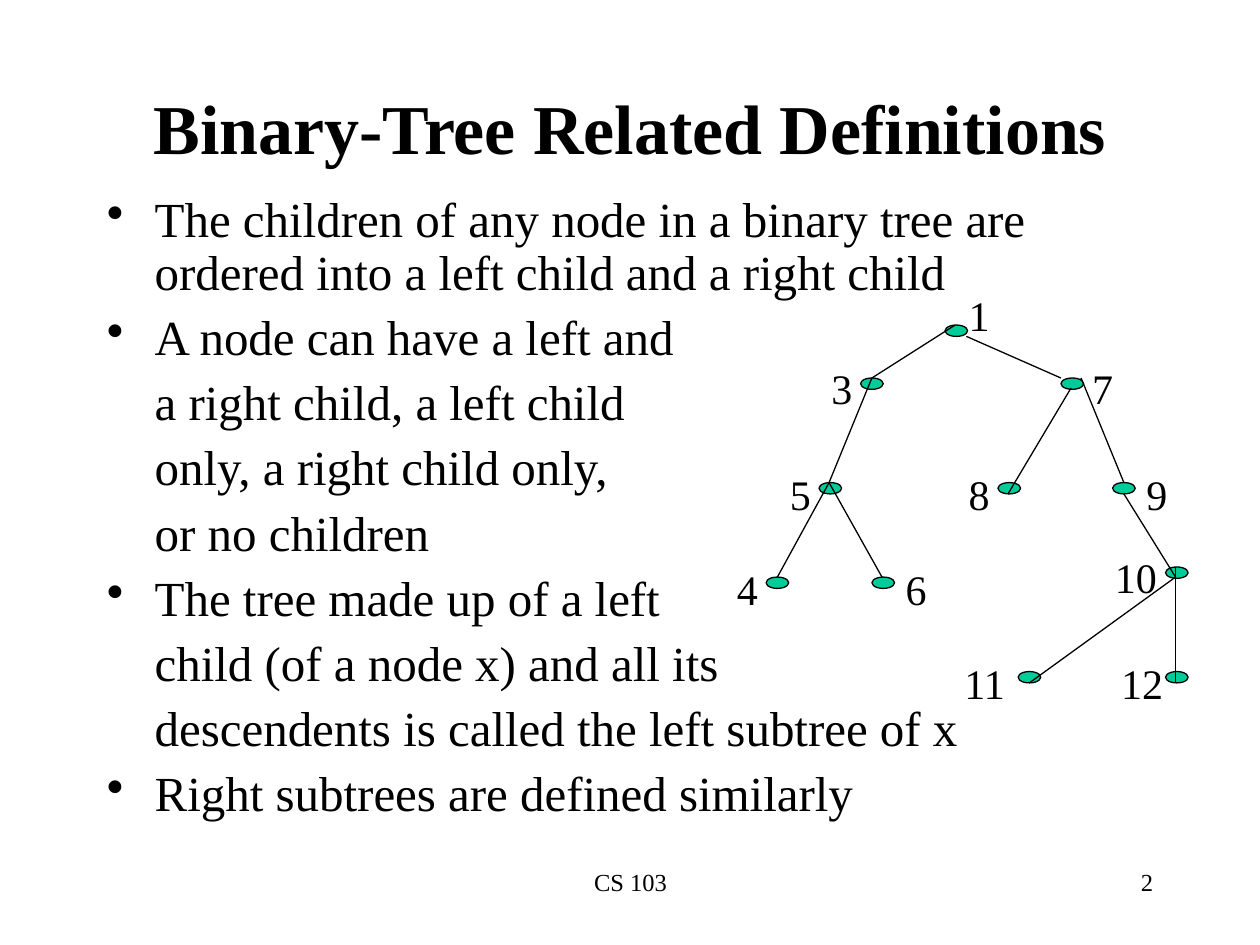
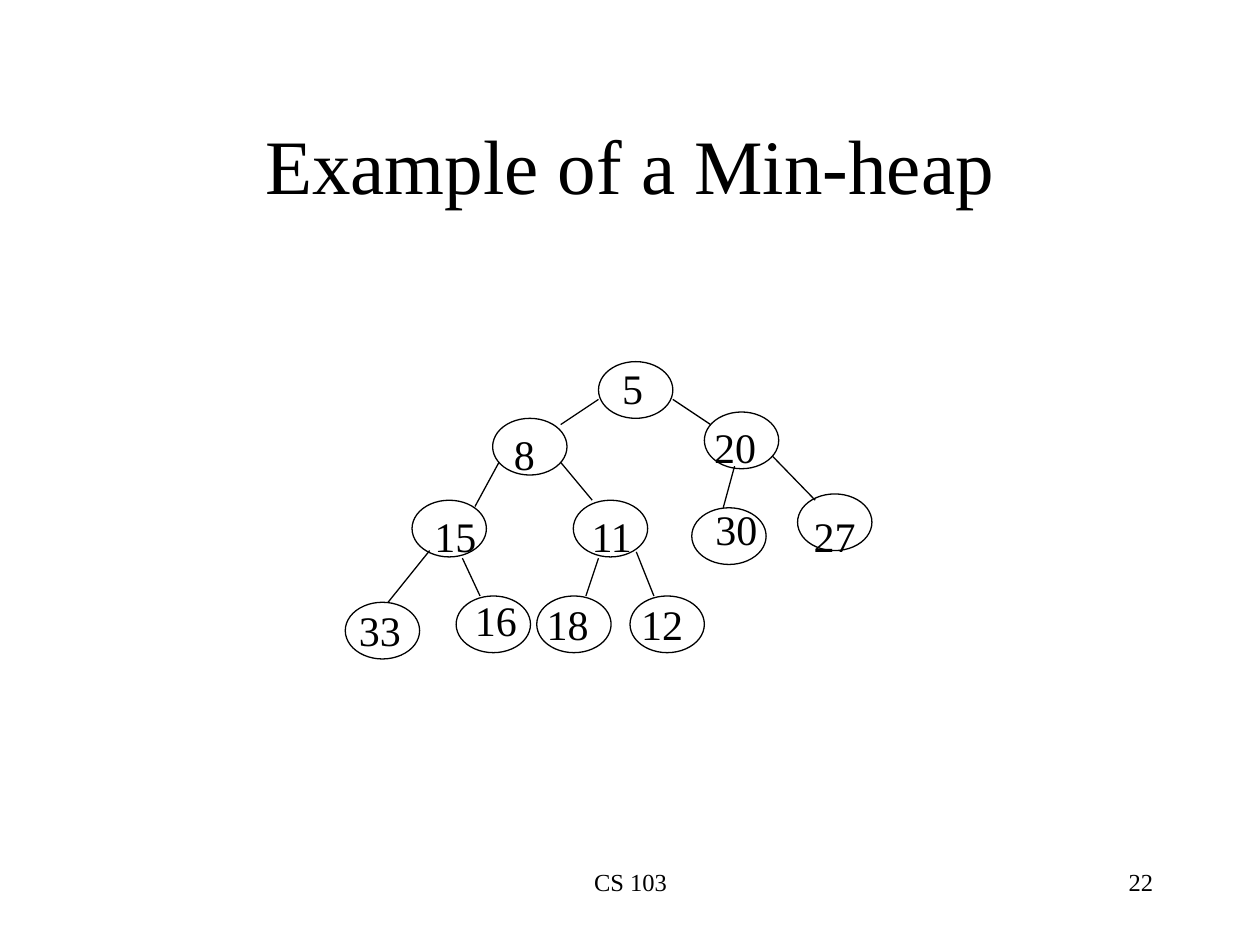
"""Build two lecture slides on binary trees and min-heaps."""
from dataclasses import dataclass
from typing import Optional

import lxml.etree
import pptx
import pptx.dml.color
import pptx.enum.shapes
import pptx.enum.text
import pptx.oxml.ns
import pptx.presentation
import pptx.shapes.base
import pptx.slide
import pptx.text.text
import pptx.util
from pptx.util import Inches

BLACK = pptx.dml.color.RGBColor(0x00, 0x00, 0x00)
WHITE = pptx.dml.color.RGBColor(0xFF, 0xFF, 0xFF)
GREEN = pptx.dml.color.RGBColor(0x00, 0xCC, 0x99)
FONT = "Times New Roman"
ALIGN = pptx.enum.text.PP_ALIGN
ANCHOR = pptx.enum.text.MSO_ANCHOR
LINE_WIDTH = pptx.util.Pt(0.75)
LABEL_WIDTHS = {1: 0.36, 2: 0.53}
LABEL_HEIGHT = 0.5
BODY_INDENT = 0.38


@dataclass(frozen=True)
class Node:
    """A tree node with the top left corners of its ellipse and its label."""

    value: int
    left: float
    top: float
    label_left: float
    label_top: float


@dataclass(frozen=True)
class Edge:
    """A line from a parent to a child."""

    start_x: float
    start_y: float
    end_x: float
    end_y: float


@dataclass(frozen=True)
class Tree:
    """Nodes of one size and fill, with their edges."""

    node_width: float
    node_height: float
    fill: Optional[pptx.dml.color.RGBColor]
    nodes: list[Node]
    edges: list[Edge]


@dataclass(frozen=True)
class Title:
    """A slide heading and its style."""

    text: str
    height: float
    size: int
    bold: bool


@dataclass(frozen=True)
class Definition:
    """A bulleted line with the unbulleted lines that continue it."""

    first_line: str
    continuations: tuple[str, ...] = ()


DEFINITIONS = [
    Definition("The children of any node in a binary tree are ordered into a left child and a right child"),
    Definition("A node can have a left and",
               ("a right child, a left child", "only, a right child only,", "or no children")),
    Definition("The tree made up of a left",
               ("child (of a node x) and all its", "descendents is called the left subtree of x")),
    Definition("Right subtrees are defined similarly"),
]

BINARY_TREE = Tree(
    0.18, 0.09, GREEN,
    [
        Node(1, 7.5, 2.58, 7.59, 2.25),
        Node(3, 6.83, 3, 6.5, 2.83),
        Node(7, 8.42, 3, 8.57, 2.83),
        Node(5, 6.5, 3.83, 6.17, 3.67),
        Node(8, 7.92, 3.83, 7.59, 3.67),
        Node(9, 8.83, 3.83, 9, 3.67),
        Node(4, 6.08, 4.58, 5.75, 4.42),
        Node(6, 6.92, 4.58, 7.09, 4.42),
        Node(10, 9.25, 4.5, 8.75, 4.33),
        Node(11, 8.08, 5.33, 7.55, 5.17),
        Node(12, 9.25, 5.33, 8.8, 5.17),
    ],
    [
        Edge(7.58, 2.58, 6.92, 3),
        Edge(7.67, 2.67, 8.42, 3),
        Edge(6.92, 3, 6.58, 3.83),
        Edge(8.5, 3.08, 8, 3.92),
        Edge(8.58, 3, 8.92, 3.83),
        Edge(6.58, 3.83, 6.17, 4.58),
        Edge(6.58, 3.83, 7, 4.58),
        Edge(8.92, 3.92, 9.33, 4.58),
        Edge(9.33, 4.58, 8.17, 5.42),
        Edge(9.33, 4.5, 9.33, 5.42),
    ],
)

MIN_HEAP = Tree(
    0.59, 0.45, None,
    [
        Node(5, 4.75, 2.87, 4.84, 2.83),
        Node(8, 3.91, 3.32, 3.98, 3.35),
        Node(20, 5.59, 3.27, 5.57, 3.3),
        Node(15, 3.27, 3.97, 3.35, 4),
        Node(11, 4.55, 3.97, 4.59, 4),
        Node(30, 5.49, 4.03, 5.58, 3.95),
        Node(27, 6.33, 3.92, 6.36, 4),
        Node(33, 2.74, 4.78, 2.75, 4.75),
        Node(16, 3.62, 4.73, 3.67, 4.67),
        Node(18, 4.26, 4.73, 4.24, 4.7),
        Node(12, 5, 4.73, 4.99, 4.7),
    ],
    [
        Edge(4.75, 3.17, 4.45, 3.37),
        Edge(5.34, 3.17, 5.64, 3.37),
        Edge(3.96, 3.67, 3.77, 4.02),
        Edge(4.45, 3.67, 4.7, 3.97),
        Edge(5.83, 3.7, 5.74, 4.03),
        Edge(6.13, 3.62, 6.47, 3.97),
        Edge(3.41, 4.37, 3.08, 4.78),
        Edge(3.67, 4.43, 3.81, 4.73),
        Edge(4.75, 4.43, 4.65, 4.73),
        Edge(5.05, 4.38, 5.19, 4.73),
    ],
)


def style_paragraph(paragraph: pptx.text.text._Paragraph, size: int, bold: bool = False) -> None:
    """Set the shared font on a paragraph."""
    font = paragraph.font
    font.name = FONT
    font.size = pptx.util.Pt(size)
    font.bold = bold
    font.color.rgb = BLACK


def add_text_frame(slide: pptx.slide.Slide, left: float, top: float, width: float,
                   height: float, wrap: bool = True) -> pptx.text.text.TextFrame:
    """Add an empty text box and return its frame."""
    frame = slide.shapes.add_textbox(Inches(left), Inches(top), Inches(width), Inches(height)).text_frame
    frame.word_wrap = wrap
    return frame


def write_line(frame: pptx.text.text.TextFrame, text: str, size: int,
               alignment: pptx.enum.text.PP_ALIGN, bold: bool = False) -> None:
    """Write one aligned line into a frame."""
    line = frame.paragraphs[0]
    line.text = text
    line.alignment = alignment
    style_paragraph(line, size, bold)


def add_lecture_slide(deck: pptx.presentation.Presentation, title: Title, number: int) -> pptx.slide.Slide:
    """Add a slide with its title, course footer and number."""
    slide = deck.slides.add_slide(deck.slide_layouts[6])
    slide.background.fill.solid()
    slide.background.fill.fore_color.rgb = WHITE
    heading = add_text_frame(slide, 0.75, 0.67, 8.5, title.height)
    heading.vertical_anchor = ANCHOR.MIDDLE
    write_line(heading, title.text, title.size, ALIGN.CENTER, title.bold)
    write_line(add_text_frame(slide, 3.42, 6.83, 3.17, 0.5), "CS 103", 14, ALIGN.CENTER)
    write_line(add_text_frame(slide, 7.17, 6.83, 2.08, 0.5), str(number), 14, ALIGN.RIGHT)
    return slide


def add_definitions(slide: pptx.slide.Slide, definitions: list[Definition]) -> None:
    """Write the bulleted definitions with hanging continuation lines."""
    frame = add_text_frame(slide, 0.75, 1.5, 8.5, 5.17)
    lines = [(text, position == 0) for definition in definitions
             for position, text in enumerate((definition.first_line, *definition.continuations))]
    for index, (text, bulleted) in enumerate(lines):
        paragraph = frame.add_paragraph() if index else frame.paragraphs[0]
        paragraph.text = text
        properties = paragraph._p.get_or_add_pPr()
        properties.set("marL", str(Inches(BODY_INDENT)))
        properties.set("indent", str(-Inches(BODY_INDENT) if bulleted else 0))
        mark = lxml.etree.SubElement(properties, pptx.oxml.ns.qn("a:buChar" if bulleted else "a:buNone"))
        if bulleted:
            mark.set("char", "•")
        paragraph.line_spacing = 0.9
        paragraph.space_before = pptx.util.Pt(7 if index else 0)
        style_paragraph(paragraph, 28)


def add_tree(slide: pptx.slide.Slide, tree: Tree) -> None:
    """Draw the nodes, then their labels, then the edges."""
    for node in tree.nodes:
        ellipse = slide.shapes.add_shape(
            pptx.enum.shapes.MSO_SHAPE.OVAL, Inches(node.left), Inches(node.top),
            Inches(tree.node_width), Inches(tree.node_height))
        ellipse.shadow.inherit = False
        ellipse.line.color.rgb = BLACK
        ellipse.line.width = LINE_WIDTH
        if tree.fill is None:
            ellipse.fill.background()
        else:
            ellipse.fill.solid()
            ellipse.fill.fore_color.rgb = tree.fill
    for node in tree.nodes:
        value = str(node.value)
        label = add_text_frame(slide, node.label_left, node.label_top,
                               LABEL_WIDTHS[len(value)], LABEL_HEIGHT, wrap=False)
        label.auto_size = pptx.enum.text.MSO_AUTO_SIZE.SHAPE_TO_FIT_TEXT
        write_line(label, value, 24, ALIGN.CENTER)
    for edge in tree.edges:
        branch = slide.shapes.add_connector(
            pptx.enum.shapes.MSO_CONNECTOR.STRAIGHT, Inches(edge.start_x), Inches(edge.start_y),
            Inches(edge.end_x), Inches(edge.end_y))
        branch.line.color.rgb = BLACK
        branch.line.width = LINE_WIDTH
        lxml.etree.SubElement(branch._element.spPr, pptx.oxml.ns.qn("a:effectLst"))


def main() -> None:
    """Build and save the deck."""
    deck = pptx.Presentation()
    deck.slide_width = Inches(10)
    deck.slide_height = Inches(7.5)
    definitions_slide = add_lecture_slide(deck, Title("Binary-Tree Related Definitions", 0.67, 40, True), 2)
    add_definitions(definitions_slide, DEFINITIONS)
    add_tree(definitions_slide, BINARY_TREE)
    heap_slide = add_lecture_slide(deck, Title("Example of a Min-heap", 1.25, 44, False), 22)
    add_tree(heap_slide, MIN_HEAP)
    deck.save("out.pptx")


if __name__ == "__main__":
    main()
